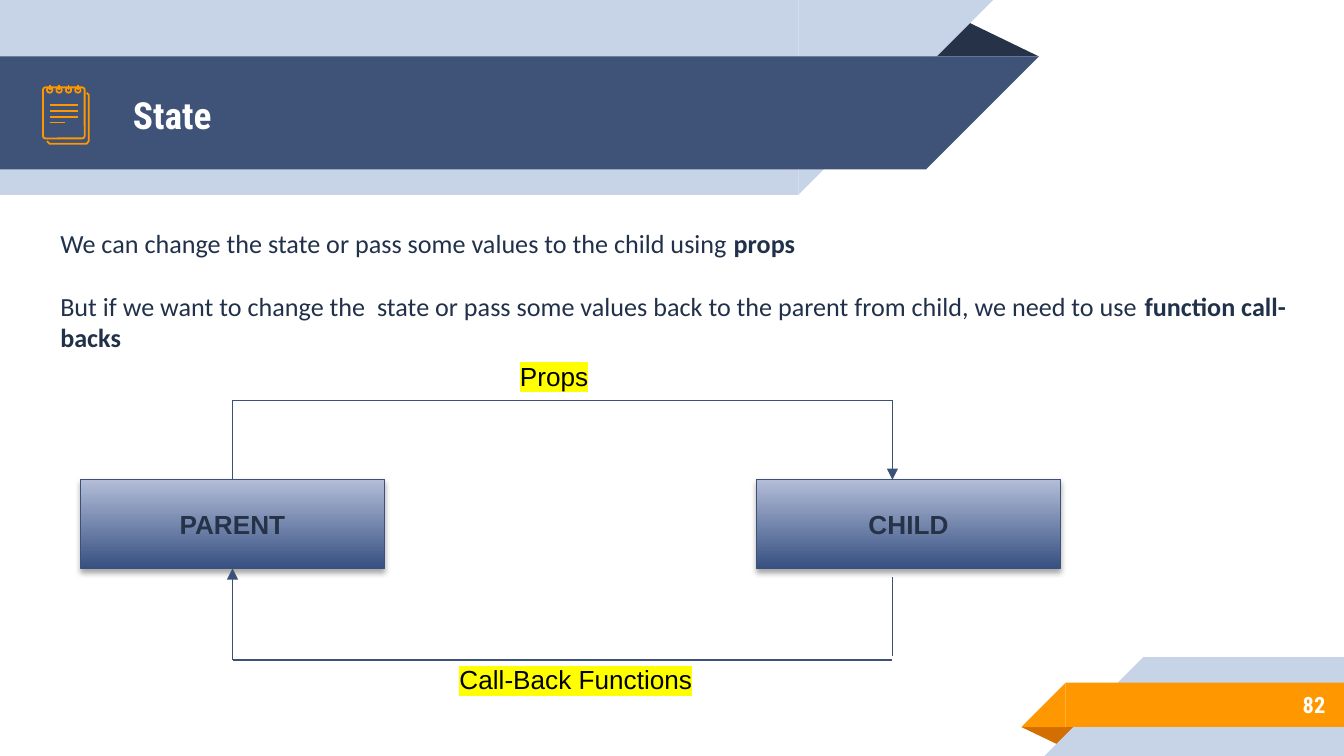
from lxml import etree
from pptx import Presentation
from pptx import util as u
from pptx.dml.color import RGBColor
from pptx.enum import shapes, text
from pptx.oxml import ns

COLS, ROWS = 100, 56.25
CELL = u.Inches(10) // COLS
WHITE = RGBColor(0xFF, 0xFF, 0xFF)
BLACK = RGBColor(0, 0, 0)
PALE = RGBColor(0xC7, 0xD3, 0xE6)
BLUE = RGBColor(0x3F, 0x53, 0x78)
NAVY = RGBColor(0x26, 0x32, 0x48)
INK = RGBColor(0x21, 0x31, 0x4A)
ORANGE = RGBColor(0xFF, 0x98, 0x00)
RUST = RGBColor(0xD2, 0x6F, 0x00)
EDGE = RGBColor(0x3C, 0x51, 0x77)
GRAD_LOW = RGBColor(0x36, 0x50, 0x81)
GRAD_HIGH = RGBColor(0xB3, 0xBD, 0xD8)
HEAD_FONT, BODY_FONT, BOX_FONT = "Roboto Condensed", "Calibri", "Arial"
KIND = shapes.MSO_SHAPE


def grid(*cells):
    """Turn grid cells into slide lengths."""
    return [u.Emu(round(c * CELL)) for c in cells]


def sub(parent, tag, **attrs):
    """Append a DrawingML element."""
    return etree.SubElement(parent, ns.qn(tag), attrs)


def shape(s, kind, box, fill=None, line=None, rotation=0, adj=None):
    """Add a flat preset shape."""
    sp = s.shapes.add_shape(kind, *grid(*box))
    sp.shadow.inherit = False
    sp.rotation = rotation
    if adj is not None:
        sp.adjustments[0] = adj
    paint(sp, fill, line)
    return sp


def paint(sp, fill=None, line=None, width=0.96):
    """Set a shape's fill and outline, either of which may be absent."""
    if fill is None:
        sp.fill.background()
    else:
        sp.fill.solid()
        sp.fill.fore_color.rgb = fill
    if line is None:
        sp.line.fill.background()
    else:
        sp.line.color.rgb = line
        sp.line.width = u.Pt(width)


def connect(s, start, end, color=EDGE, width=0.75, arrow=False):
    """Add a straight line, with an arrowhead at its end if wanted."""
    c = s.shapes.add_connector(shapes.MSO_CONNECTOR.STRAIGHT, *grid(*start, *end))
    c.line.color.rgb = color
    c.line.width = u.Pt(width)
    if arrow:
        sub(c.line._get_or_add_ln(), "a:tailEnd", type="triangle")
    sub(c._element.spPr, "a:effectLst")
    return c


def write(tf, paragraphs, font, size, color, bold=False, align="LEFT",
          anchor="TOP", inset=None, gap=0, highlight=None):
    """Write paragraphs, each a list of runs whose every second one is bold."""
    tf.word_wrap = True
    tf.vertical_anchor = getattr(text.MSO_ANCHOR, anchor)
    if inset is not None:
        tf.margin_left = tf.margin_right = tf.margin_top = tf.margin_bottom = grid(inset)[0]
    for i, runs in enumerate(paragraphs):
        p = tf.add_paragraph() if i else tf.paragraphs[0]
        p.alignment = getattr(text.PP_ALIGN, align)
        p.space_before = u.Pt(gap if i else 0)
        for j, words in enumerate(runs):
            r = p.add_run()
            r.text = words
            r.font.name, r.font.size = font, u.Pt(size)
            r.font.bold = bold or j % 2 == 1
            r.font.color.rgb = color
            if highlight:
                mark = etree.Element(ns.qn("a:highlight"))
                sub(mark, "a:srgbClr", val=highlight)
                r.font._element.find(ns.qn("a:solidFill")).addnext(mark)


def label(s, box, paragraphs, **form):
    """Add a text box."""
    write(s.shapes.add_textbox(*grid(*box)).text_frame, paragraphs, **form)


def header(s, box, title):
    """Draw the slanted title banner."""
    x, y, w, h = box
    shape(s, KIND.ISOSCELES_TRIANGLE, (x + w - 8.5, y + 1.4, 8.5, 2.8), NAVY, adj=0.32)
    for top, height, reach, color in ((0, h, w - 3.4, PALE), (4.2, 8.4, w, BLUE)):
        shape(s, KIND.RECTANGLE, (x, y + top, reach - height, height), color)
        shape(s, KIND.RIGHT_TRIANGLE, (x + reach - height, y + top, height, height),
              color, rotation=90)
    label(s, (x + 8.9, y + 4.3, 57.5, 8.4), [[title]], font=HEAD_FONT, size=20,
          color=WHITE, bold=True, anchor="MIDDLE", inset=1)


def footer(s, box, number):
    """Draw the slanted corner ribbon with the page number."""
    x, y, w, h = box
    shape(s, KIND.ISOSCELES_TRIANGLE, (x, y + 5.2, 4.3, 1.4), RUST, rotation=180, adj=0.32)
    for left, top, height, color in ((1.7, 0, h, PALE), (0, 1.9, 3.3, ORANGE)):
        shape(s, KIND.RECTANGLE, (x + left + height, y + top, w - left - height, height), color)
        shape(s, KIND.RIGHT_TRIANGLE, (x + left, y + top, height, height), color, rotation=270)
    label(s, (x + 7.3, y + 1.8, 16.3, 3.5), [[number]], font=HEAD_FONT, size=12,
          color=WHITE, bold=True, align="RIGHT", anchor="MIDDLE", inset=1)


def notebook(s, box):
    """Draw the spiral notebook icon."""
    x, y, w, h = box
    right, bottom = x + w, y + h
    edge = [(x + 0.3, bottom - 0.2), (x + 0.5, bottom), (right - 0.15, bottom),
            (right, bottom - 0.2), (right, y + 0.75), (right - 0.15, y + 0.6)]
    points = [tuple(grid(*point)) for point in edge]
    builder = s.shapes.build_freeform(*points[0])
    builder.add_line_segments(points[1:], close=False)
    back = builder.convert_to_shape()
    back.shadow.inherit = False
    paint(back, line=ORANGE)
    shape(s, KIND.ROUNDED_RECTANGLE, (x, y + 0.2, w - 0.3, h - 0.6), line=ORANGE, adj=0.06)
    for i in range(4):
        ring = x + 0.5 + 0.7 * i
        shape(s, KIND.OVAL, (ring - 0.2, y + 0.2, 0.4, 0.4), line=ORANGE)
        connect(s, (ring, y), (ring, y + 0.4), ORANGE, 0.96)
        row = y + 1.5 + 0.44 * i
        connect(s, (x + 0.5, row), (x + (1.6 if i == 3 else 2.6), row), ORANGE, 0.96)


def node(s, box, name):
    """Add a shaded box with a name."""
    sp = shape(s, KIND.RECTANGLE, box)
    sp.fill.gradient()
    sp.fill.gradient_angle = 90
    for stop, position, color in zip(sp.fill.gradient_stops, (0, 1), (GRAD_LOW, GRAD_HIGH)):
        stop.position = position
        stop.color.rgb = color
    sp.line.color.rgb = EDGE
    sp.line.width = u.Pt(0.75)
    shadow = sub(sp._element.spPr.find(ns.qn("a:effectLst")), "a:outerShdw",
                 blurRad=str(u.Pt(3.1)), dist=str(u.Pt(1.8)), dir="5400000", rotWithShape="0")
    sub(sub(shadow, "a:srgbClr", val="000000"), "a:alpha", val="35000")
    write(sp.text_frame, [[name]], font=BOX_FONT, size=14, color=NAVY, bold=True,
          align="CENTER", anchor="MIDDLE")
    return sp


def cycle(s, box):
    """Draw the loop between parent and child."""
    x, y, w, h = box
    wide, tall, top = 22.6, 6.6, y + 5.9
    low, base = top + tall, y + h
    parent = node(s, (x, top, wide, tall), "PARENT")
    node(s, (x + w - wide, top, wide, tall), "CHILD")
    left, right = x + wide / 2, x + w - 12.5
    connect(s, (left, top), (left, y)).begin_connect(parent, 0)
    connect(s, (left, y), (right, y))
    connect(s, (right, y), (right, top), arrow=True)
    connect(s, (right, base - 0.3), (right, low + 0.6))
    connect(s, (left, base), (left, low), arrow=True).end_connect(parent, 2)
    connect(s, (left, base), (right, base))
    form = dict(font=BOX_FONT, size=14, color=BLACK, highlight="FFFF00")
    label(s, (x + 31.7, y - 3.5, 10.7, 3.4), [["Props"]], **form)
    label(s, (x + 27.2, base - 0.2, 24.2, 3.4), [["Call-Back Functions"]], **form)


def main():
    """Build the slide."""
    prs = Presentation()
    prs.slide_width, prs.slide_height = grid(COLS, ROWS)
    s = prs.slides.add_slide(prs.slide_layouts[6])
    header(s, (0, 0, 77.3, 14.5), "State")
    footer(s, (76, 48.9, 24, 7.35), "82")
    notebook(s, (3.2, 6.3, 3.4, 4.4))
    label(s, (3.5, 16.4, 95.5, 22.2), [
        ["We can change the state or pass some values to the child using ", "props"],
        ["But if we want to change the  state or pass some values back to the parent "
         "from child, we need to use ", "function call-backs"],
    ], font=BODY_FONT, size=14, color=INK, gap=17)
    cycle(s, (6, 29.8, 72.9, 19.3))
    prs.save("out.pptx")


if __name__ == "__main__":
    main()
